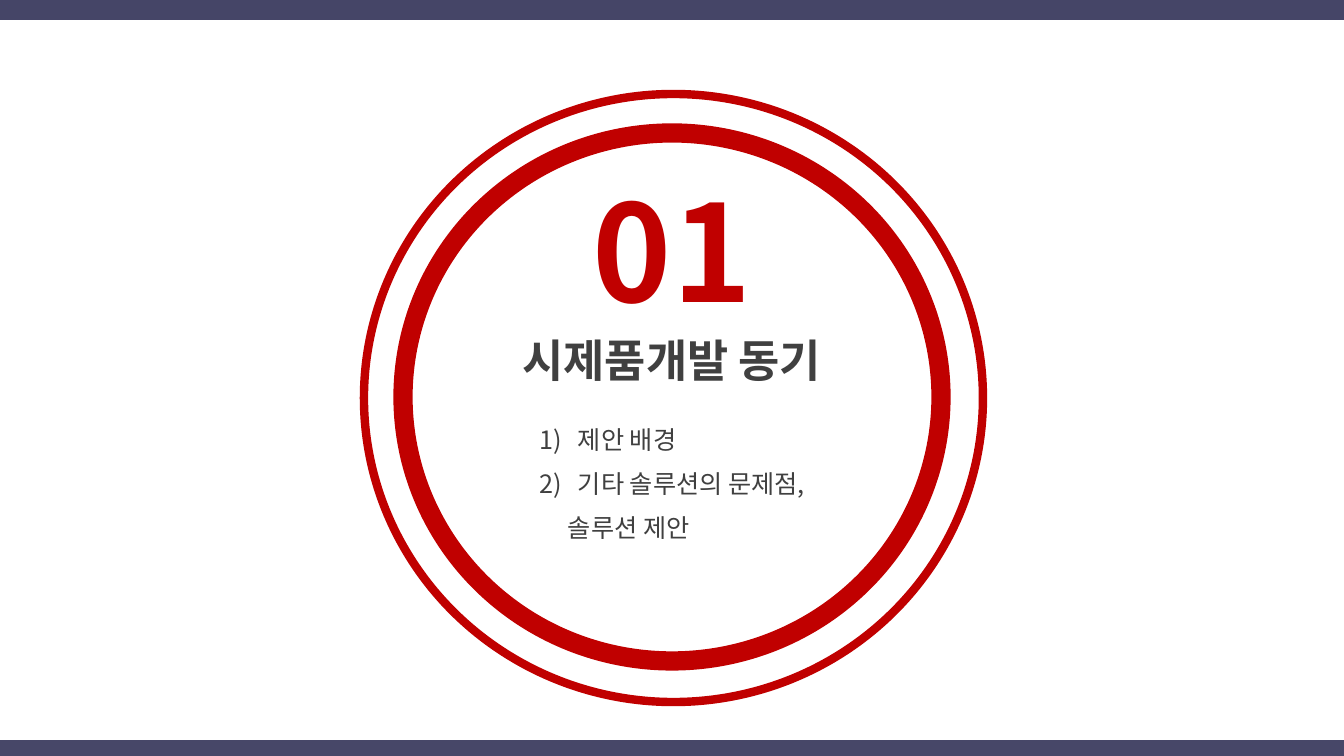
from pptx import Presentation
from pptx.dml.color import RGBColor
from pptx.enum.shapes import MSO_SHAPE
from pptx.enum.text import MSO_AUTO_SIZE, PP_ALIGN
from pptx.oxml.ns import qn
from pptx.util import Pt
from lxml.etree import SubElement

PX = 914400 / 100.8
FONT = "Noto Sans CJK KR"
RED, GRAY, NAVY = "C00000", "404040", "00002F"


def px(*lengths):
    return [round(length * PX) for length in lengths]


def color(value):
    return RGBColor.from_string(value)


deck = Presentation()
deck.slide_width, deck.slide_height = px(1344, 756)
slide = deck.slides.add_slide(deck.slide_layouts[6])

for top, opacity in [(-1, 73), (740, 72)]:
    band = slide.shapes.add_shape(MSO_SHAPE.RECTANGLE, *px(0, top, 1344, 21))
    band.shadow.inherit = False
    band.line.fill.background()
    band.fill.solid()
    band.fill.fore_color.rgb = color(NAVY)
    tint = band.fill._xPr.find(qn("a:solidFill"))[0]
    SubElement(tint, qn("a:alpha"), val=str(opacity * 1000))

number = {"size": Pt(96), "bold": True, "color": RED}
title = {"size": Pt(32), "bold": True, "color": GRAY}
topic = {"size": Pt(18), "bold": False, "color": GRAY}
centered = {"alignment": PP_ALIGN.CENTER}
spaced = {"alignment": PP_ALIGN.LEFT, "line_spacing": 1.3}
numbered, continued = (38, -38), (28, 0)

blocks = [
    ((497, 163, 350, 173), number, centered, [("01", None)]),
    ((434, 328, 476, 64), title, centered, [("시제품개발 동기", None)]),
    ((530, 410, 474, 139), topic, spaced, [
        ("제안 배경", numbered),
        ("기타 솔루션의 문제점,", numbered),
        ("솔루션 제안", continued),
    ]),
]
for box, style, layout, lines in blocks:
    frame = slide.shapes.add_textbox(*px(*box)).text_frame
    frame.word_wrap = True
    frame.auto_size = MSO_AUTO_SIZE.SHAPE_TO_FIT_TEXT
    for index, (words, indent) in enumerate(lines):
        paragraph = frame.add_paragraph() if index else frame.paragraphs[0]
        for key, value in layout.items():
            setattr(paragraph, key, value)
        paragraph.space_before = Pt(style["size"].pt * 0.2)
        if indent:
            margin, hanging = px(*indent)
            properties = paragraph._p.get_or_add_pPr()
            properties.set("marL", str(margin))
            properties.set("indent", str(hanging))
            if indent == numbered:
                SubElement(properties, qn("a:buFont"), typeface="+mj-lt")
                SubElement(properties, qn("a:buAutoNum"), type="arabicParenR")
        run = paragraph.add_run()
        run.text = words
        run.font.name = FONT
        run.font.size = style["size"]
        run.font.bold = style["bold"]
        run.font.color.rgb = color(style["color"])
        SubElement(run._r.get_or_add_rPr(), qn("a:ea"), typeface=FONT)

for box, width in [((403, 133, 538, 528), 13.75), ((364, 94, 619, 608), 6)]:
    ring = slide.shapes.add_shape(MSO_SHAPE.OVAL, *px(*box))
    ring.shadow.inherit = False
    ring.fill.background()
    ring.line.color.rgb = color(RED)
    ring.line.width = Pt(width)

deck.save("out.pptx")
